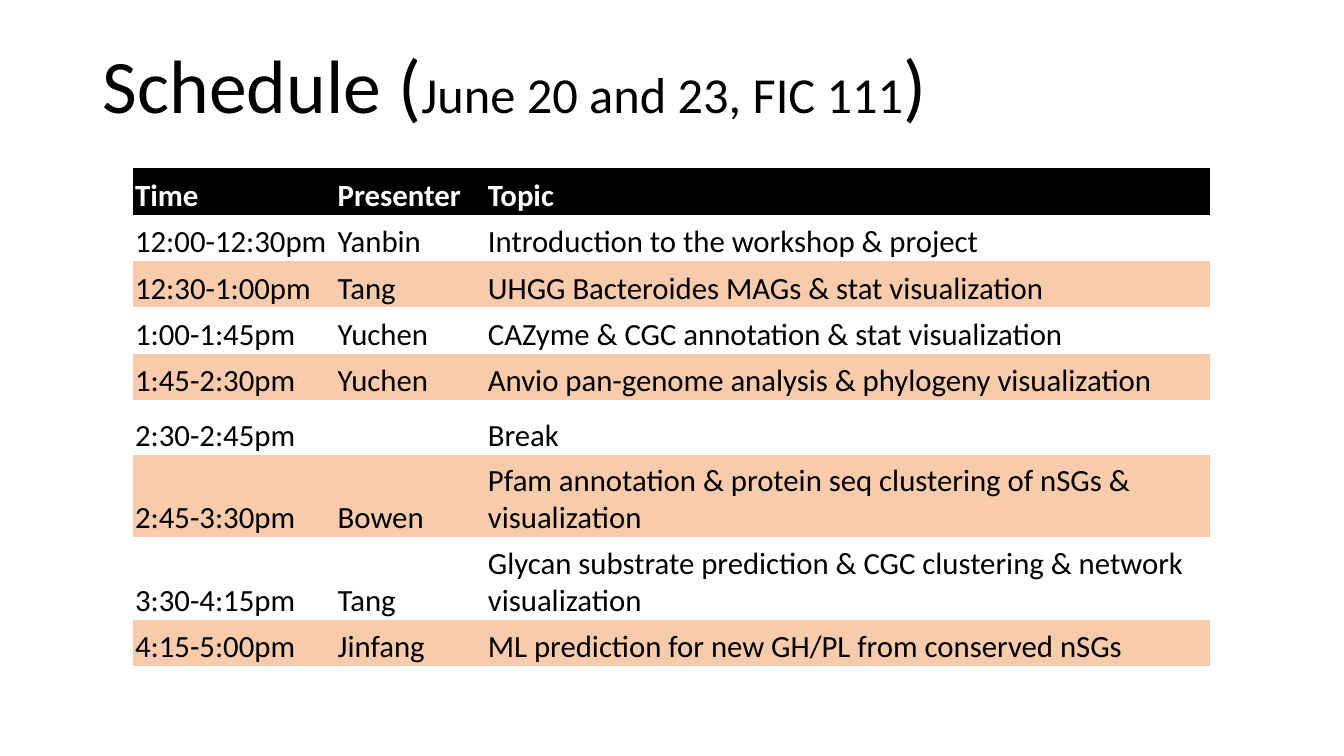
from dataclasses import dataclass

from pptx import Presentation
from pptx.dml.color import RGBColor
from pptx.enum import text
from pptx.util import Inches, Pt


@dataclass(frozen=True)
class Theme:
    font: str = "Calibri"
    black: RGBColor = RGBColor(0x00, 0x00, 0x00)
    white: RGBColor = RGBColor(0xFF, 0xFF, 0xFF)
    band: RGBColor = RGBColor(0xF8, 0xCB, 0xAD)
    title: int = 54
    subtitle: int = 36
    cell: int = 22


THEME = Theme()
NO_STYLE_NO_GRID = "{2D5ABB26-0587-4C30-8999-92F81FD0307C}"

TITLE_RUNS = [
    ("Schedule (", THEME.title),
    ("June 20 and 23, FIC 111", THEME.subtitle),
    (")", THEME.title),
]
COLUMN_WIDTHS = [2.01, 1.49, 7.18]
SCHEDULE = [
    (0.46, "Time", "Presenter", "Topic"),
    (0.46, "12:00-12:30pm", "Yanbin", "Introduction to the workshop & project"),
    (0.46, "12:30-1:00pm", "Tang", "UHGG Bacteroides MAGs & stat visualization"),
    (0.46, "1:00-1:45pm", "Yuchen", "CAZyme & CGC annotation & stat visualization"),
    (0.46, "1:45-2:30pm", "Yuchen", "Anvio pan-genome analysis & phylogeny visualization"),
    (0.54, "2:30-2:45pm", "", "Break"),
    (0.82, "2:45-3:30pm", "Bowen",
     "Pfam annotation & protein seq clustering of nSGs & visualization"),
    (0.82, "3:30-4:15pm", "Tang",
     "Glycan substrate prediction & CGC clustering & network visualization"),
    (0.46, "4:15-5:00pm", "Jinfang", "ML prediction for new GH/PL from conserved nSGs"),
]


def set_title(s):
    sp = s.shapes.title
    sp.left, sp.top = Inches(0.92), Inches(0.32)
    sp.width, sp.height = Inches(11.5), Inches(1.02)
    tf = sp.text_frame
    tf.auto_size = text.MSO_AUTO_SIZE.NONE
    tf.vertical_anchor = text.MSO_ANCHOR.BOTTOM
    p = tf.paragraphs[0]
    p.alignment = text.PP_ALIGN.LEFT
    p.line_spacing = 0.9
    p.font.name = THEME.font
    p.font.color.rgb = THEME.black
    for words, size in TITLE_RUNS:
        r = p.add_run()
        r.text = words
        r.font.size = Pt(size)


def fill_cell(cell, words, row):
    """Write one cell: black header, then plain and tinted rows in turn."""
    header = row == 0
    cell.margin_left = cell.margin_right = cell.margin_top = Inches(0.02)
    cell.margin_bottom = 0
    cell.vertical_anchor = text.MSO_ANCHOR.BOTTOM
    if header or row % 2 == 0:
        cell.fill.solid()
        cell.fill.fore_color.rgb = THEME.black if header else THEME.band
    else:
        cell.fill.background()
    p = cell.text_frame.paragraphs[0]
    p.text = words
    p.font.name = THEME.font
    p.font.size = Pt(THEME.cell)
    p.font.bold = header
    p.font.color.rgb = THEME.white if header else THEME.black


def add_schedule(s):
    height = sum(row[0] for row in SCHEDULE)
    frame = s.shapes.add_table(len(SCHEDULE), len(COLUMN_WIDTHS), Inches(1.32), Inches(1.67),
                               Inches(sum(COLUMN_WIDTHS)), Inches(height))
    table = frame.table
    table.first_row = table.horz_banding = False
    table._tbl.tblPr[0].text = NO_STYLE_NO_GRID
    for column, width in zip(table.columns, COLUMN_WIDTHS):
        column.width = Inches(width)
    for i, (row_height, *entries) in enumerate(SCHEDULE):
        table.rows[i].height = Inches(row_height)
        for j, words in enumerate(entries):
            fill_cell(table.cell(i, j), words, i)


def main():
    prs = Presentation()
    prs.slide_width, prs.slide_height = Inches(13.33), Inches(7.5)
    s = prs.slides.add_slide(prs.slide_layouts[5])
    set_title(s)
    add_schedule(s)
    prs.save("out.pptx")


if __name__ == "__main__":
    main()
